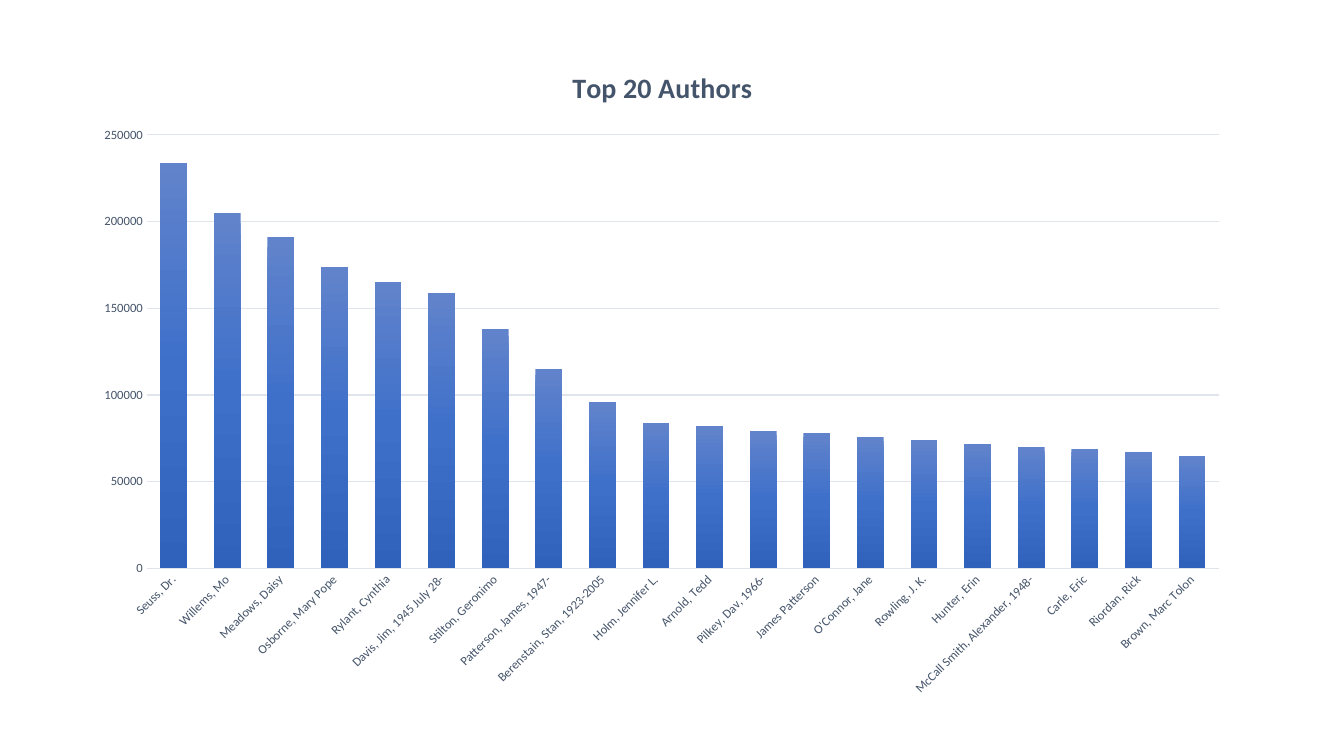
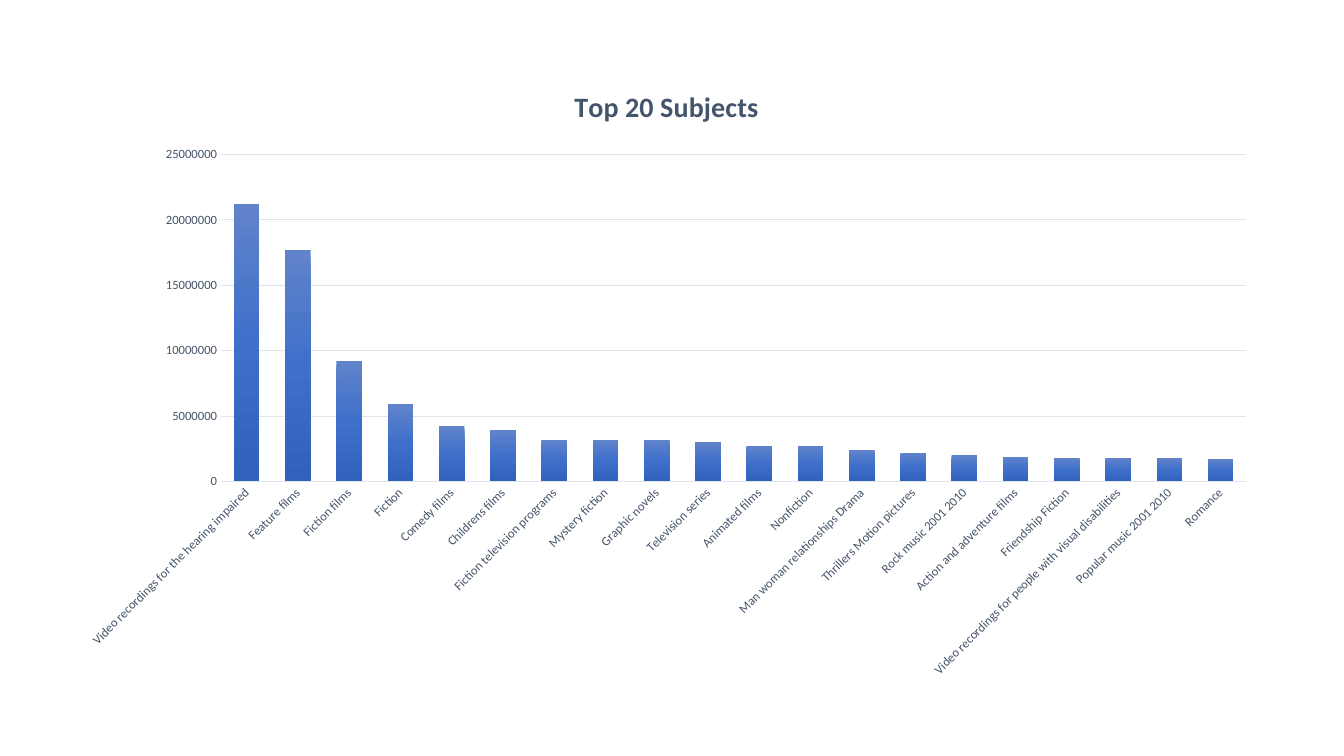
from copy import deepcopy

from lxml import etree
from pptx import Presentation
from pptx.chart.data import CategoryChartData
from pptx.dml.color import RGBColor
from pptx.enum.chart import XL_CHART_TYPE as ChartType, XL_TICK_MARK as TickMark
from pptx.oxml.ns import qn
from pptx.util import Inches, Pt

COLORS = {
    "text": "44546A",
    "grid": "E0E5EB",
    "bar_top": "6183CB",
    "bar_middle": "3E70CA",
    "bar_bottom": "3062BB",
}
FONT = "Calibri"
WIDTH, HEIGHT = Inches(13.33), Inches(7.5)

AUTHORS = {
    "Seuss, Dr.": 234000,
    "Willems, Mo": 205000,
    "Meadows, Daisy": 191000,
    "Osborne, Mary Pope": 174000,
    "Rylant, Cynthia": 165000,
    "Davis, Jim, 1945 July 28-": 159000,
    "Stilton, Geronimo": 138000,
    "Patterson, James, 1947-": 115000,
    "Berenstain, Stan, 1923-2005": 96000,
    "Holm, Jennifer L.": 84000,
    "Arnold, Tedd": 82000,
    "Pilkey, Dav, 1966-": 79000,
    "James Patterson": 78000,
    "O'Connor, Jane": 76000,
    "Rowling, J. K.": 74000,
    "Hunter, Erin": 72000,
    "McCall Smith, Alexander, 1948-": 70000,
    "Carle, Eric": 69000,
    "Riordan, Rick": 67000,
    "Brown, Marc Tolon": 65000,
}
SUBJECTS = {
    "Video recordings for the hearing impaired": 21200000,
    "Feature films": 17700000,
    "Fiction films": 9200000,
    "Fiction": 5900000,
    "Comedy films": 4200000,
    "Childrens films": 3900000,
    "Fiction television programs": 3200000,
    "Mystery fiction": 3200000,
    "Graphic novels": 3200000,
    "Television series": 3000000,
    "Animated films": 2700000,
    "Nonfiction": 2700000,
    "Man woman relationships Drama": 2400000,
    "Thrillers Motion pictures": 2200000,
    "Rock music 2001 2010": 2000000,
    "Action and adventure films": 1900000,
    "Friendship Fiction": 1800000,
    "Video recordings for people with visual disabilities": 1800000,
    "Popular music 2001 2010": 1800000,
    "Romance": 1700000,
}


def rgb(name):
    return RGBColor.from_string(COLORS[name])


def style_font(font, size, bold=False):
    font.name, font.size, font.bold = FONT, Pt(size), bold
    font.color.rgb = rgb("text")


def style_line(line):
    line.color.rgb = rgb("grid")
    line.width = Pt(0.75)


def set_layout(element, before, **percents):
    """Place a chart part by percents of the chart's size, ahead of the tag before."""
    for old in element.findall(qn("c:layout")):
        element.remove(old)
    layout = etree.Element(qn("c:layout"))
    manual = etree.SubElement(layout, qn("c:manualLayout"))
    settings = {"xMode": "edge", "yMode": "edge"}
    if "w" in percents:
        settings = {"layoutTarget": "inner", **settings}
    settings.update({tag: value / 100 for tag, value in percents.items()})
    for tag, value in settings.items():
        etree.SubElement(manual, qn(f"c:{tag}")).set("val", str(value))
    element.find(qn(before)).addprevious(layout)


def style_title(chart, text):
    title = chart.chart_title
    title.text_frame.text = text
    style_font(title.text_frame.paragraphs[0].font, 20, bold=True)
    title.include_in_layout = False
    set_layout(title._element, "c:overlay", x=41.8, y=2.75)


def style_axes(chart, top, step):
    categories, values = chart.category_axis, chart.value_axis
    for axis in (categories, values):
        axis.major_tick_mark = axis.minor_tick_mark = TickMark.NONE
        style_font(axis.tick_labels.font, 9)
    style_line(categories.format.line)
    body = categories._element.find(qn("c:txPr")).find(qn("a:bodyPr"))
    body.set("rot", str(-45 * 60000))
    body.set("vert", "horz")
    values.minimum_scale, values.maximum_scale, values.major_unit = 0, top, step
    values.format.line.fill.background()
    values.has_major_gridlines = True
    style_line(values.major_gridlines.format.line)
    values.tick_labels.number_format = "0"
    values.tick_labels.number_format_is_linked = False


def style_bars(plot):
    plot.gap_width, plot.overlap = 100, -24
    plot.vary_by_categories = False
    series = plot.series[0]
    series.invert_if_negative = False
    fill = series.format.fill
    fill.gradient()
    fill.gradient_angle = 270
    first_stop = series._element.find(".//" + qn("a:gs"))
    first_stop.addnext(deepcopy(first_stop))
    names = ("bar_top", "bar_middle", "bar_bottom")
    for index, (stop, name) in enumerate(zip(fill.gradient_stops, names)):
        stop.position = index / 2
        stop.color.rgb = rgb(name)


def add_ranking(presentation, title, ranking, box, plot_percents, top):
    """Add a slide with one column chart; box is in percents of the slide."""
    slide = presentation.slides.add_slide(presentation.slide_layouts[6])
    data = CategoryChartData()
    data.categories = list(ranking)
    data.add_series("Series 1", list(ranking.values()))
    frame = [
        int(size * percent / 100)
        for size, percent in zip((WIDTH, HEIGHT) * 2, box)
    ]
    chart = slide.shapes.add_chart(ChartType.COLUMN_CLUSTERED, *frame, data).chart
    chart.has_legend = False
    chart.font.name, chart.font.size = FONT, Pt(10)
    style_title(chart, title)
    style_axes(chart, top, top / 5)
    style_bars(chart.plots[0])
    plot_area = chart._chartSpace.find(".//" + qn("c:plotArea"))
    set_layout(plot_area, "c:barChart", **plot_percents)


def main():
    presentation = Presentation()
    presentation.slide_width, presentation.slide_height = WIDTH, HEIGHT
    add_ranking(
        presentation, "Top 20 Authors", AUTHORS,
        box=(6.08, 5.87, 86.42, 88),
        plot_percents={"x": 5.6, "y": 13.6, "w": 92.3, "h": 65.2},
        top=250000,
    )
    add_ranking(
        presentation, "Top 20 Subjects", SUBJECTS,
        box=(4.88, 8.53, 89.65, 82.67),
        plot_percents={"x": 12.9, "y": 14.43, "w": 85.1, "h": 52.3},
        top=25000000,
    )
    presentation.save("out.pptx")


if __name__ == "__main__":
    main()
